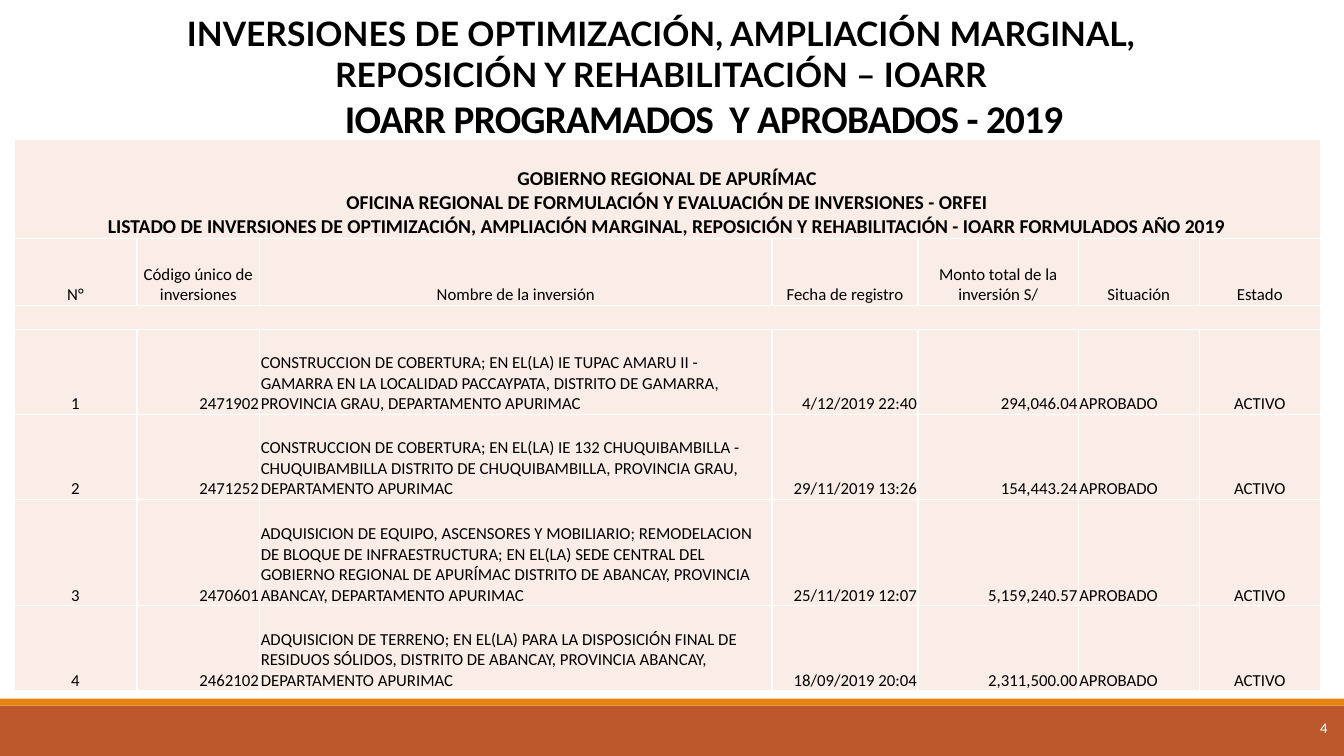
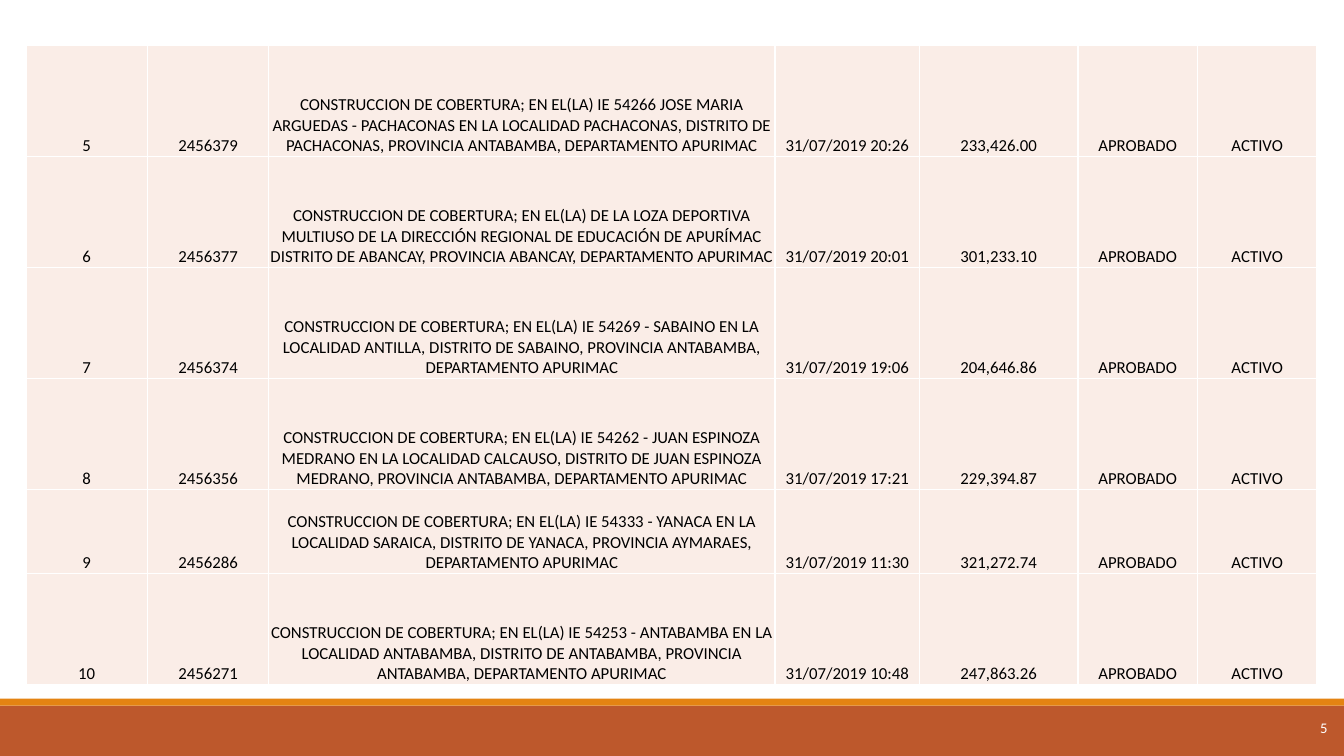
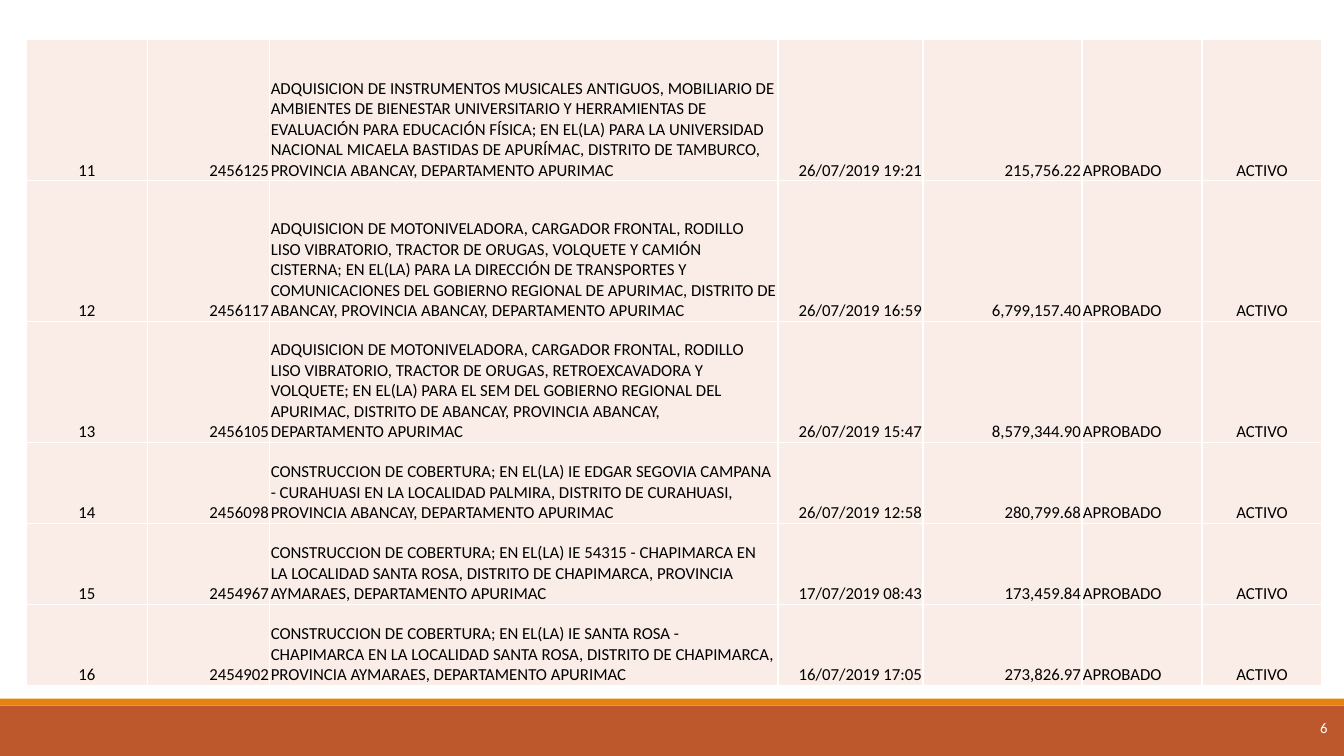
"""Builds three slides listing the IOARR investments of 2019."""
from dataclasses import dataclass
from typing import NamedTuple

from lxml import etree
from pptx import Presentation
from pptx import util as u
from pptx.dml.color import RGBColor
from pptx.enum import shapes, text
from pptx.oxml.ns import qn

COLOURS = {
    "black": "000000",
    "white": "FFFFFF",
    "band": "BD582C",
    "stripe": "E48312",
    "cell": "FAEDE7",
}
LEFT, CENTRE, RIGHT = text.PP_ALIGN.LEFT, text.PP_ALIGN.CENTER, text.PP_ALIGN.RIGHT
MIXED = (CENTRE, RIGHT, LEFT, RIGHT, RIGHT, LEFT, CENTRE)
CENTRED = (CENTRE,) * 7
COLUMN_SHARES = (87.8, 87.8, 365.8, 104.4, 114.5, 86.4, 86.4)
BANNER = (
    "GOBIERNO REGIONAL DE APURÍMAC",
    "OFICINA REGIONAL DE FORMULACIÓN Y EVALUACIÓN DE INVERSIONES - ORFEI",
    "LISTADO DE INVERSIONES DE OPTIMIZACIÓN, AMPLIACIÓN MARGINAL, REPOSICIÓN Y "
    "REHABILITACIÓN - IOARR FORMULADOS AÑO 2019",
)
HEADINGS = (
    "N°",
    "Código único de inversiones",
    "Nombre de la inversión",
    "Fecha de registro",
    "Monto total de la inversión S/",
    "Situación",
    "Estado",
)


class Area(NamedTuple):
    """Left, top, width and height in points."""
    left: float
    top: float
    width: float
    height: float

    def lengths(self) -> list:
        """Gives the four values as lengths."""
        return [u.Pt(value) for value in self]


@dataclass(frozen=True)
class Style:
    """Look of a run of text."""
    size: float
    bold: bool = False
    colour: str = "black"
    font: str = "Calibri"
    spacing: float = 0


class Investment(NamedTuple):
    """One listed investment."""
    code: str
    name: str
    date: str
    amount: str


@dataclass(frozen=True)
class Listing:
    """One slide's part of the list."""
    page_number: int
    first_number: int
    left: float
    top: float
    width: float
    heights: tuple
    aligns: tuple
    investments: tuple
    header_heights: tuple = ()


HEADLINE = Style(24, bold=True, font="Lato")
TITLE = Style(28, bold=True, spacing=-0.5)
BANNER_STYLE = Style(14, bold=True)
BODY = Style(12)
PAGE_NUMBER = Style(10.5, colour="white")

LISTINGS = (
    Listing(4, 1, 10, 99.6, 933.1, (60.7, 60.7, 75.9, 60.7), MIXED, (
        Investment("2471902", "CONSTRUCCION DE COBERTURA; EN EL(LA) IE TUPAC AMARU II - GAMARRA EN LA "
                   "LOCALIDAD PACCAYPATA, DISTRITO DE GAMARRA, PROVINCIA GRAU, DEPARTAMENTO APURIMAC",
                   "4/12/2019 22:40", "294,046.04"),
        Investment("2471252", "CONSTRUCCION DE COBERTURA; EN EL(LA) IE 132 CHUQUIBAMBILLA - CHUQUIBAMBILLA "
                   "DISTRITO DE CHUQUIBAMBILLA, PROVINCIA GRAU, DEPARTAMENTO APURIMAC",
                   "29/11/2019 13:26", "154,443.24"),
        Investment("2470601", "ADQUISICION DE EQUIPO, ASCENSORES Y MOBILIARIO; REMODELACION DE BLOQUE DE "
                   "INFRAESTRUCTURA; EN EL(LA) SEDE CENTRAL DEL GOBIERNO REGIONAL DE APURÍMAC DISTRITO DE "
                   "ABANCAY, PROVINCIA ABANCAY, DEPARTAMENTO APURIMAC",
                   "25/11/2019 12:07", "5,159,240.57"),
        Investment("2462102", "ADQUISICION DE TERRENO; EN EL(LA) PARA LA DISPOSICIÓN FINAL DE RESIDUOS "
                   "SÓLIDOS, DISTRITO DE ABANCAY, PROVINCIA ABANCAY, DEPARTAMENTO APURIMAC",
                   "18/09/2019 20:04", "2,311,500.00"),
    ), header_heights=(71, 47.4, 17.4)),
    Listing(5, 5, 18.5, 32.4, 922.3, (79.3, 79.3, 79.3, 79.3, 60, 79.3), CENTRED, (
        Investment("2456379", "CONSTRUCCION DE COBERTURA; EN EL(LA) IE 54266 JOSE MARIA ARGUEDAS - PACHACONAS "
                   "EN LA LOCALIDAD PACHACONAS, DISTRITO DE PACHACONAS, PROVINCIA ANTABAMBA, DEPARTAMENTO "
                   "APURIMAC", "31/07/2019 20:26", "233,426.00"),
        Investment("2456377", "CONSTRUCCION DE COBERTURA; EN EL(LA) DE LA LOZA DEPORTIVA MULTIUSO DE LA "
                   "DIRECCIÓN REGIONAL DE EDUCACIÓN DE APURÍMAC DISTRITO DE ABANCAY, PROVINCIA ABANCAY, "
                   "DEPARTAMENTO APURIMAC", "31/07/2019 20:01", "301,233.10"),
        Investment("2456374", "CONSTRUCCION DE COBERTURA; EN EL(LA) IE 54269 - SABAINO EN LA LOCALIDAD "
                   "ANTILLA, DISTRITO DE SABAINO, PROVINCIA ANTABAMBA, DEPARTAMENTO APURIMAC",
                   "31/07/2019 19:06", "204,646.86"),
        Investment("2456356", "CONSTRUCCION DE COBERTURA; EN EL(LA) IE 54262 - JUAN ESPINOZA MEDRANO EN LA "
                   "LOCALIDAD CALCAUSO, DISTRITO DE JUAN ESPINOZA MEDRANO, PROVINCIA ANTABAMBA, "
                   "DEPARTAMENTO APURIMAC", "31/07/2019 17:21", "229,394.87"),
        Investment("2456286", "CONSTRUCCION DE COBERTURA; EN EL(LA) IE 54333 - YANACA EN LA LOCALIDAD "
                   "SARAICA, DISTRITO DE YANACA, PROVINCIA AYMARAES, DEPARTAMENTO APURIMAC",
                   "31/07/2019 11:30", "321,272.74"),
        Investment("2456271", "CONSTRUCCION DE COBERTURA; EN EL(LA) IE 54253 - ANTABAMBA EN LA LOCALIDAD "
                   "ANTABAMBA, DISTRITO DE ANTABAMBA, PROVINCIA ANTABAMBA, DEPARTAMENTO APURIMAC",
                   "31/07/2019 10:48", "247,863.26"),
    )),
    Listing(6, 11, 18.5, 28.4, 925.9, (100.6, 100.6, 86.4, 57.9, 57.9, 57.9), MIXED, (
        Investment("2456125", "ADQUISICION DE INSTRUMENTOS MUSICALES ANTIGUOS, MOBILIARIO DE AMBIENTES DE "
                   "BIENESTAR UNIVERSITARIO Y HERRAMIENTAS DE EVALUACIÓN PARA EDUCACIÓN FÍSICA; EN EL(LA) "
                   "PARA LA UNIVERSIDAD NACIONAL MICAELA BASTIDAS DE APURÍMAC, DISTRITO DE TAMBURCO, "
                   "PROVINCIA ABANCAY, DEPARTAMENTO APURIMAC", "26/07/2019 19:21", "215,756.22"),
        Investment("2456117", "ADQUISICION DE MOTONIVELADORA, CARGADOR FRONTAL, RODILLO LISO VIBRATORIO, "
                   "TRACTOR DE ORUGAS, VOLQUETE Y CAMIÓN CISTERNA; EN EL(LA) PARA LA DIRECCIÓN DE "
                   "TRANSPORTES Y COMUNICACIONES DEL GOBIERNO REGIONAL DE APURIMAC, DISTRITO DE ABANCAY, "
                   "PROVINCIA ABANCAY, DEPARTAMENTO APURIMAC", "26/07/2019 16:59", "6,799,157.40"),
        Investment("2456105", "ADQUISICION DE MOTONIVELADORA, CARGADOR FRONTAL, RODILLO LISO VIBRATORIO, "
                   "TRACTOR DE ORUGAS, RETROEXCAVADORA Y VOLQUETE; EN EL(LA) PARA EL SEM DEL GOBIERNO "
                   "REGIONAL DEL APURIMAC, DISTRITO DE ABANCAY, PROVINCIA ABANCAY, DEPARTAMENTO APURIMAC",
                   "26/07/2019 15:47", "8,579,344.90"),
        Investment("2456098", "CONSTRUCCION DE COBERTURA; EN EL(LA) IE EDGAR SEGOVIA CAMPANA - CURAHUASI EN "
                   "LA LOCALIDAD PALMIRA, DISTRITO DE CURAHUASI, PROVINCIA ABANCAY, DEPARTAMENTO APURIMAC",
                   "26/07/2019 12:58", "280,799.68"),
        Investment("2454967", "CONSTRUCCION DE COBERTURA; EN EL(LA) IE 54315 - CHAPIMARCA EN LA LOCALIDAD "
                   "SANTA ROSA, DISTRITO DE CHAPIMARCA, PROVINCIA AYMARAES, DEPARTAMENTO APURIMAC",
                   "17/07/2019 08:43", "173,459.84"),
        Investment("2454902", "CONSTRUCCION DE COBERTURA; EN EL(LA) IE SANTA ROSA - CHAPIMARCA EN LA "
                   "LOCALIDAD SANTA ROSA, DISTRITO DE CHAPIMARCA, PROVINCIA AYMARAES, DEPARTAMENTO "
                   "APURIMAC", "16/07/2019 17:05", "273,826.97"),
    )),
)


def rgb(name: str) -> RGBColor:
    """Looks up a named colour."""
    return RGBColor.from_string(COLOURS[name])


def write(frame, lines: tuple, style: Style, align) -> None:
    """Writes each line as a paragraph of one run."""
    for index, line in enumerate(lines):
        para = frame.add_paragraph() if index else frame.paragraphs[0]
        para.alignment = align
        span = para.add_run()
        span.text = line
        span.font.name = style.font
        span.font.size = u.Pt(style.size)
        span.font.bold = style.bold
        span.font.color.rgb = rgb(style.colour)
        if style.spacing:
            span._r.get_or_add_rPr().set("spc", str(round(style.spacing * 100)))


def add_text(page, area: Area, line: str, style: Style, align, anchor) -> None:
    """Adds a text box without insets."""
    box = page.shapes.add_textbox(*area.lengths())
    frame = box.text_frame
    frame.word_wrap = True
    frame.vertical_anchor = anchor
    frame.margin_left = frame.margin_top = frame.margin_right = frame.margin_bottom = u.Pt(0)
    write(frame, (line,), style, align)


def add_band(page, area: Area, colour: str) -> None:
    """Adds a plain filled rectangle."""
    band = page.shapes.add_shape(shapes.MSO_SHAPE.RECTANGLE, *area.lengths())
    band.shadow.inherit = False
    band.fill.solid()
    band.fill.fore_color.rgb = rgb(colour)
    band.line.fill.background()


def add_footer(page, number: int) -> None:
    """Adds the bottom bands and the page number."""
    add_band(page, Area(0, 504, 960, 36), "band")
    add_band(page, Area(0, 499, 960, 5), "stripe")
    add_text(page, Area(890.6, 499, 57.6, 41), str(number), PAGE_NUMBER, RIGHT, text.MSO_ANCHOR.MIDDLE)


def format_cell(cell) -> None:
    """Sets the borders, fill, anchor and margins of a cell."""
    properties = cell._tc.get_or_add_tcPr()
    for side in ("a:lnL", "a:lnR", "a:lnT", "a:lnB"):
        border = etree.SubElement(properties, qn(side), w=str(u.Pt(1)))
        fill = etree.SubElement(border, qn("a:solidFill"))
        etree.SubElement(fill, qn("a:srgbClr"), val=COLOURS["white"])
    cell.fill.solid()
    cell.fill.fore_color.rgb = rgb("cell")
    cell.vertical_anchor = text.MSO_ANCHOR.BOTTOM
    cell.margin_left = cell.margin_right = cell.margin_top = u.Pt(0.7)
    cell.margin_bottom = u.Pt(0)


def fill_row(table, row: int, values: tuple, aligns: tuple) -> None:
    """Writes one value in each cell of a row."""
    for column, (value, align) in enumerate(zip(values, aligns)):
        write(table.cell(row, column).text_frame, (value,), BODY, align)


def add_header(table) -> None:
    """Writes the banner, the headings and the empty separator row."""
    for row in (0, 2):
        table.cell(row, 0).merge(table.cell(row, len(HEADINGS) - 1))
    write(table.cell(0, 0).text_frame, BANNER, BANNER_STYLE, CENTRE)
    fill_row(table, 1, HEADINGS, CENTRED)
    for column in range(len(HEADINGS)):
        para = table.cell(2, column).text_frame.paragraphs[0]
        etree.SubElement(para._p, qn("a:endParaRPr"), sz=str(BODY.size * 100))


def add_listing(page, listing: Listing) -> None:
    """Adds the table of investments."""
    heights = listing.header_heights + listing.heights
    area = Area(listing.left, listing.top, listing.width, sum(heights))
    table = page.shapes.add_table(len(heights), len(COLUMN_SHARES), *area.lengths()).table
    table.first_row = table.horz_banding = False
    for column, share in zip(table.columns, COLUMN_SHARES):
        column.width = u.Pt(listing.width * share / sum(COLUMN_SHARES))
    for row, height in zip(table.rows, heights):
        row.height = u.Pt(height)
        for cell in row.cells:
            format_cell(cell)
    if listing.header_heights:
        add_header(table)
    for index, investment in enumerate(listing.investments):
        values = (str(listing.first_number + index), *investment, "APROBADO", "ACTIVO")
        fill_row(table, len(listing.header_heights) + index, values, listing.aligns)


def add_titles(page) -> None:
    """Adds the headline and the title of the list."""
    bottom = text.MSO_ANCHOR.BOTTOM
    add_text(page, Area(87, 60, 831.6, 41), "IOARR PROGRAMADOS  Y APROBADOS - 2019", TITLE, CENTRE, bottom)
    add_text(page, Area(66, 9, 812.2, 58), "INVERSIONES DE OPTIMIZACIÓN, AMPLIACIÓN MARGINAL, REPOSICIÓN Y "
             "REHABILITACIÓN – IOARR", HEADLINE, CENTRE, bottom)


def main() -> None:
    """Builds and saves the deck."""
    deck = Presentation()
    deck.slide_width, deck.slide_height = u.Pt(960), u.Pt(540)
    for listing in LISTINGS:
        page = deck.slides.add_slide(deck.slide_layouts[6])
        add_footer(page, listing.page_number)
        if listing.header_heights:
            add_titles(page)
        add_listing(page, listing)
    deck.save("out.pptx")


if __name__ == "__main__":
    main()
